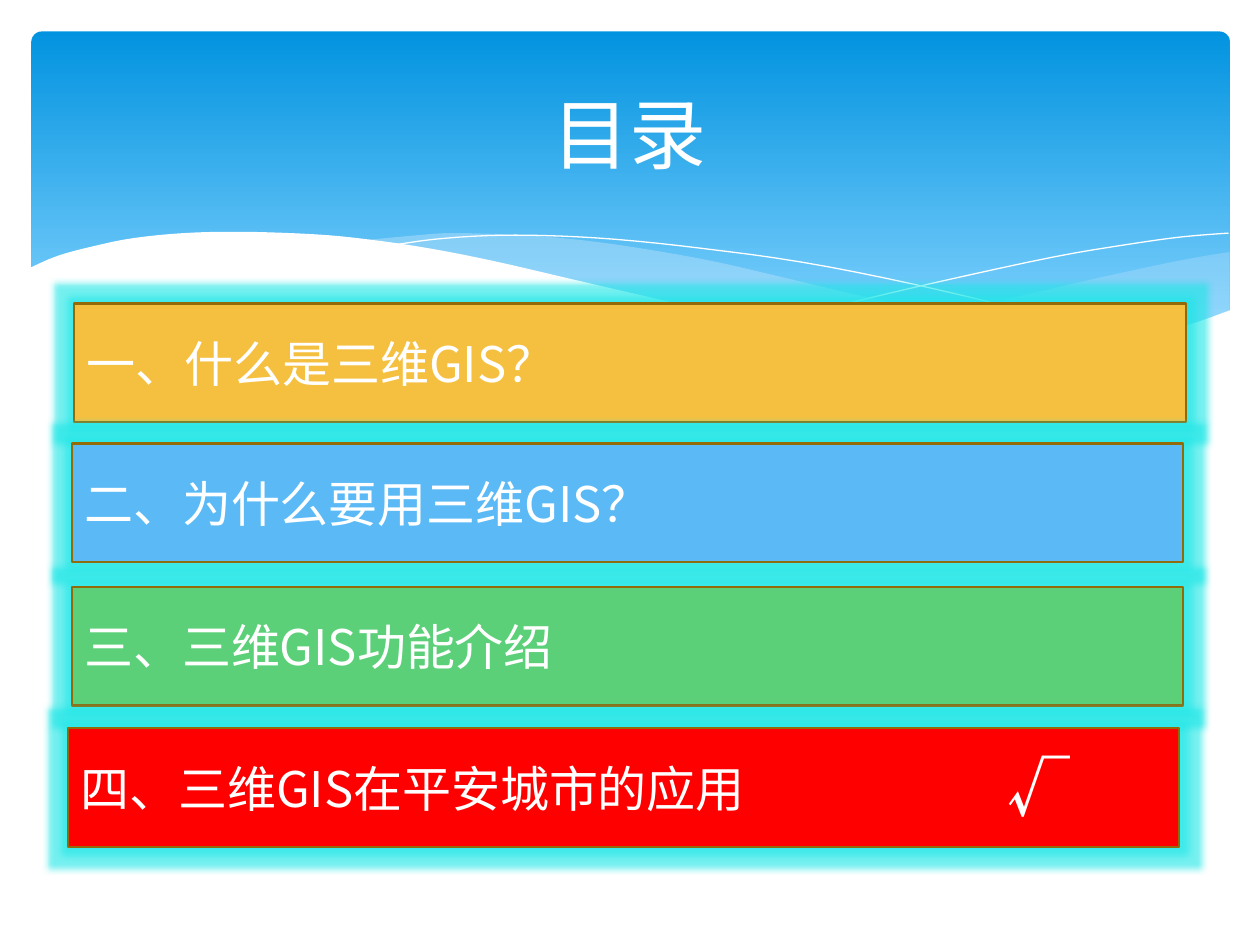
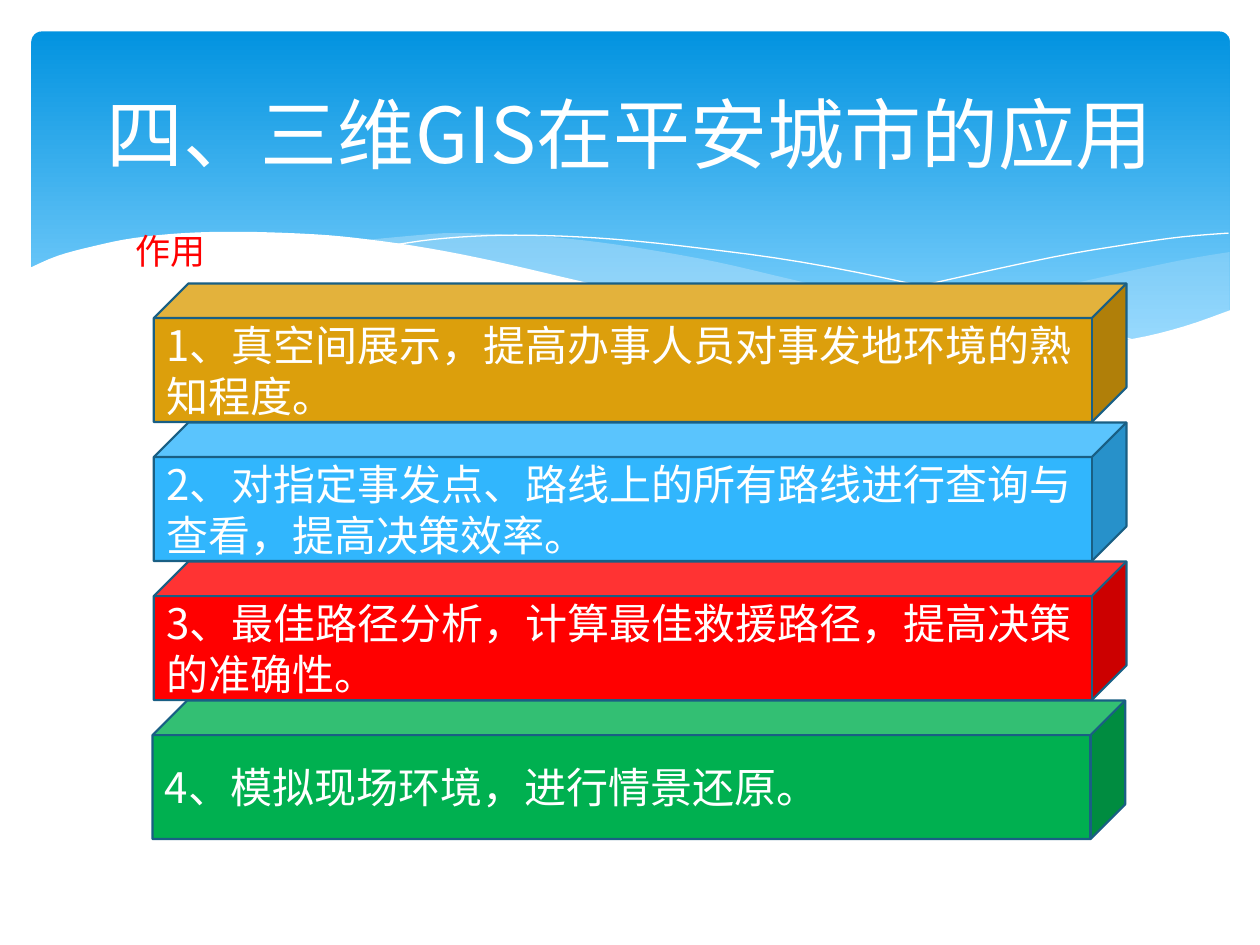
"""Build two slides on three-dimensional GIS: the contents and its use in safe cities."""
import pptx
import pptx.dml.color
import pptx.enum.shapes
import pptx.enum.text
import pptx.oxml
import pptx.oxml.ns
import pptx.util
from pptx.util import Inches

THEME = {
    "font": "Noto Sans CJK SC", "check_font": "Noto Sans CJK TC",
    "title_size": 44, "check_size": 36, "bar_size": 28, "cube_size": 24, "label_size": 20,
    "white": "FFFFFF", "red": "FF0000", "sky_top": "0293E0", "sky_bottom": "83D3FE",
    "wave": "C6E7FC", "bar_line": "936A08", "cube_line": "195F84", "glow": "1CE6E6",
    "line_width": 1.25,
}

CONTENTS_TITLE = "目录"
CONTENTS = [
    ("一、什么是三维GIS？", "F5C040", 0.59, 2.41),
    ("二、为什么要用三维GIS？", "5BBAF6", 0.57, 3.52),
    ("三、三维GIS功能介绍", "5BD078", 0.57, 4.66),
    ("四、三维GIS在平安城市的应用", THEME["red"], 0.54, 5.78),
]
BAR_SIZE = (8.82, 0.94)

BENEFITS_TITLE = CONTENTS[-1][0]
BENEFITS_LABEL = "作用"
BENEFITS = [
    ("1、真空间展示，提高办事人员对事发地环境的熟知程度。", "DC9F0C", 1.22),
    ("2、对指定事发点、路线上的所有路线进行查询与查看，提高决策效率。", "31B6FD", 1.22),
    ("3、最佳路径分析，计算最佳救援路径，提高决策的准确性。", THEME["red"], 1.22),
    ("4、模拟现场环境，进行情景还原。", "00B050", 1.21),
]
CUBE_SIZE = (7.72, 1.1)
FIRST_CUBE_TOP, LAST_CUBE_TOP = 2.25, 5.56

RIGHT_WAVE = [
    [(9.76, 2), (9.35, 2.07), (8.61, 2.23), (7.79, 2.42), (7.06, 2.57), (6.61, 2.65)],
    [(6.61, 2.65), (7.05, 2.71), (7.57, 2.76), (8.14, 2.78), (8.72, 2.74), (9.28, 2.63),
     (9.76, 2.47)],
]
MIDDLE_WAVE = [
    [(8.93, 2.73), (8.37, 2.65), (7.75, 2.54), (7.06, 2.4), (6.29, 2.22), (5.69, 2.08),
     (5.14, 1.98), (4.65, 1.91), (4.2, 1.87), (3.61, 1.85), (3.28, 1.87), (2.86, 1.91)],
    [(2.86, 1.91), (3.42, 1.99), (4.04, 2.11), (4.49, 2.22), (5.3, 2.4), (6.01, 2.55),
     (6.65, 2.66), (7.22, 2.74), (7.73, 2.77), (8.18, 2.78), (8.57, 2.77), (8.93, 2.73)],
]
FALLING_LINE = [[(3.09, 1.95), (3.44, 1.9), (3.87, 1.87), (4.33, 1.87), (4.89, 1.9),
                 (5.56, 1.97), (6.36, 2.08), (7.27, 2.26), (8.31, 2.51), (9.07, 2.72)]]
RISING_LINE = [[(6.13, 2.57), (6.72, 2.41), (7.48, 2.23), (8.36, 2.04), (8.95, 1.94),
                (9.38, 1.88), (9.75, 1.85)]]
WHITE_WAVE = [
    [(9.77, 2.46), (9.4, 2.59), (8.99, 2.69), (8.5, 2.75), (8.09, 2.77), (7.61, 2.75),
     (7.08, 2.7), (6.48, 2.62), (5.79, 2.5), (5.03, 2.33), (4.47, 2.2), (3.91, 2.07),
     (3.4, 1.97), (2.92, 1.9), (2.5, 1.86), (1.93, 1.84), (1.46, 1.85), (1.06, 1.89),
     (0.76, 1.95), (0.46, 2.03), (0.23, 2.13)],
    [(0.23, 2.13), (0.23, 3.29)],
    [(0.23, 3.29), (9.77, 3.29)],
]
WAVES = [
    (RIGHT_WAVE, THEME["wave"], 29), (MIDDLE_WAVE, THEME["wave"], 40),
    (FALLING_LINE, None, 100), (RISING_LINE, None, 100), (WHITE_WAVE, THEME["white"], 100),
]


def color(value):
    return pptx.dml.color.RGBColor.from_string(value)


def smooth_curve(points, steps=4):
    if len(points) == 2:
        return points
    padded = [points[0], *points, points[-1]]
    curve = [points[0]]
    for a, b, c, d in zip(padded, padded[1:], padded[2:], padded[3:]):
        for step in range(1, steps + 1):
            t = step / steps
            curve.append(tuple(
                0.5 * (2 * q + (r - p) * t + (2 * p - 5 * q + 4 * r - s) * t ** 2
                       + (3 * q - p - 3 * r + s) * t ** 3)
                for p, q, r, s in zip(a, b, c, d)))
    return curve


def set_outline(shape, line_color=None, width=0):
    shape.shadow.inherit = False
    if line_color:
        shape.line.color.rgb = color(line_color)
        shape.line.width = pptx.util.Pt(width)
    else:
        shape.line.fill.background()


def add_wave(slide, edges, fill, opacity):
    points = [(Inches(x), Inches(y)) for edge in edges for x, y in smooth_curve(edge)]
    builder = slide.shapes.build_freeform(*points[0], scale=1.0)
    builder.add_line_segments(points[1:], close=fill is not None)
    shape = builder.convert_to_shape()
    if fill is None:
        shape.fill.background()
        set_outline(shape, THEME["white"])
        return
    set_outline(shape)
    shape.fill.solid()
    shape.fill.fore_color.rgb = color(fill)
    if opacity < 100:
        fill_color = shape.fill._xPr.find(".//" + pptx.oxml.ns.qn("a:srgbClr"))
        fill_color.append(pptx.oxml.parse_xml(
            f'<a:alpha {pptx.oxml.ns.nsdecls("a")} val="{opacity * 1000}"/>'))


def write_text(shape, text, size, font=THEME["font"], text_color=THEME["white"], bold=False,
               align="LEFT", anchor="MIDDLE", wrap=True):
    frame = shape.text_frame
    frame.word_wrap = wrap
    frame.vertical_anchor = getattr(pptx.enum.text.MSO_ANCHOR, anchor)
    paragraph = frame.paragraphs[0]
    paragraph.alignment = getattr(pptx.enum.text.PP_ALIGN, align)
    run = paragraph.add_run()
    run.text = text
    run.font.name = font
    run.font.size = pptx.util.Pt(size)
    run.font.bold = bold
    run.font.color.rgb = color(text_color)
    run.font._element.append(pptx.oxml.parse_xml(
        f'<a:ea {pptx.oxml.ns.nsdecls("a")} typeface="{font}"/>'))


def add_text(slide, box, text, size, **text_format):
    shape = slide.shapes.add_textbox(*map(Inches, box))
    write_text(shape, text, size, **text_format)


def add_panel(slide, preset, box, text, size, fill, line_color):
    kind = getattr(pptx.enum.shapes.MSO_SHAPE, preset)
    shape = slide.shapes.add_shape(kind, *map(Inches, box))
    shape.fill.solid()
    shape.fill.fore_color.rgb = color(fill)
    set_outline(shape, line_color, THEME["line_width"])
    write_text(shape, text, size)
    return shape


def add_glow(shape):
    effects = shape._element.spPr.find(pptx.oxml.ns.qn("a:effectLst"))
    effects.append(pptx.oxml.parse_xml(
        f'<a:glow {pptx.oxml.ns.nsdecls("a")} rad="{Inches(0.11)}">'
        f'<a:srgbClr val="{THEME["glow"]}"><a:alpha val="60000"/></a:srgbClr></a:glow>'))


def add_titled_slide(presentation, title):
    slide = presentation.slides.add_slide(presentation.slide_layouts[6])
    sky = slide.shapes.add_shape(pptx.enum.shapes.MSO_SHAPE.ROUNDED_RECTANGLE,
                                 *map(Inches, (0.25, 0.25, 9.51, 2.7)))
    sky.adjustments[0] = 0.03
    set_outline(sky)
    sky.fill.gradient()
    sky.fill.gradient_angle = 270
    stops = [(0, THEME["sky_top"]), (0.9, THEME["sky_bottom"])]
    for stop, (position, stop_color) in zip(sky.fill.gradient_stops, stops):
        stop.position = position
        stop.color.rgb = color(stop_color)
    for wave in WAVES:
        add_wave(slide, *wave)
    add_text(slide, (0.5, 0.37, 9, 1.37), title, THEME["title_size"], align="CENTER")
    return slide


def add_contents_slide(presentation):
    slide = add_titled_slide(presentation, CONTENTS_TITLE)
    for text, fill, left, top in CONTENTS:
        bar = add_panel(slide, "RECTANGLE", (left, top, *BAR_SIZE), text,
                        THEME["bar_size"], fill, THEME["bar_line"])
        add_glow(bar)
    add_text(slide, (7.9, 5.89, 0.8, 0.71), "√", THEME["check_size"],
             font=THEME["check_font"], bold=True, anchor="TOP")


def add_benefits_slide(presentation):
    slide = add_titled_slide(presentation, BENEFITS_TITLE)
    pitch = (LAST_CUBE_TOP - FIRST_CUBE_TOP) / (len(BENEFITS) - 1)
    for index, (text, fill, left) in enumerate(BENEFITS):
        box = (left, FIRST_CUBE_TOP + index * pitch, *CUBE_SIZE)
        add_panel(slide, "CUBE", box, text, THEME["cube_size"], fill, THEME["cube_line"])
    add_text(slide, (0.98, 1.77, 0.76, 0.44), BENEFITS_LABEL, THEME["label_size"],
             text_color=THEME["red"], anchor="TOP", wrap=False)


def main():
    presentation = pptx.Presentation()
    presentation.slide_width = Inches(10)
    presentation.slide_height = Inches(7.5)
    add_contents_slide(presentation)
    add_benefits_slide(presentation)
    presentation.save("out.pptx")


if __name__ == "__main__":
    main()
